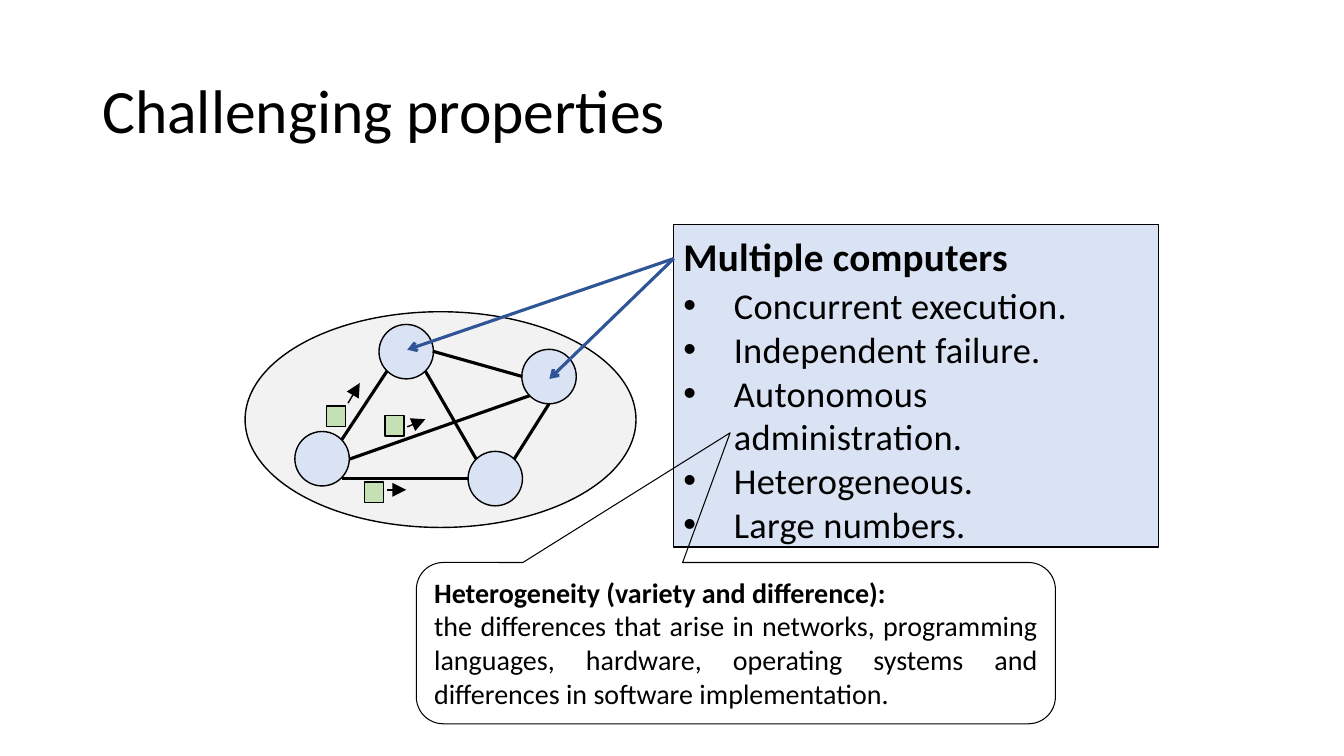
from dataclasses import dataclass
from typing import NamedTuple

from lxml.etree import SubElement
from pptx import Presentation
from pptx.dml.color import RGBColor
from pptx.enum.shapes import MSO_CONNECTOR, MSO_SHAPE
from pptx.enum.text import MSO_ANCHOR, PP_ALIGN
from pptx.oxml.ns import qn
from pptx.util import Pt


@dataclass(frozen=True)
class Theme:
    font: str = "Calibri"
    ink: str = "000000"
    node: str = "DAE3F3"
    network: str = "F2F2F2"
    message: str = "C5E0B4"
    pointer: str = "2F5597"
    title_size: float = 44
    heading_size: float = 28
    bullet_size: float = 26
    note_size: float = 20
    tracking: float = 0.2


class Box(NamedTuple):
    left: float
    top: float
    width: float
    height: float


class Line(NamedTuple):
    x1: float
    y1: float
    x2: float
    y2: float


class LineStyle(NamedTuple):
    color: str
    width: float
    head: str = ""
    head_size: str = "med"


THEME = Theme()
LINK = LineStyle(THEME.ink, 2.25)
MOTION = LineStyle(THEME.ink, 1, "triangle", "lg")
POINTER = LineStyle(THEME.pointer, 2.25, "arrow")

TITLE = Box(66, 28.8, 828, 104.4)
PANEL = Box(481.1, 160.3, 346.6, 230.4)
HEADING = Box(488.2, 160.6, 329, 36)
BULLETS = Box(488.2, 202.3, 314.6, 188.6)
NETWORK = Box(175.1, 222.7, 279.2, 154.1)
CALLOUT = Box(297.4, 401.8, 456.5, 115.2)

COMPUTER_SIZE = 38.9
COMPUTER_CENTERS = [(290.2, 251.2), (230.1, 327.7), (392.2, 269), (353.8, 341.9)]
LINKS = [
    Line(244, 314.3, 276.5, 265),
    Line(244, 341.6, 334.8, 341.6),
    Line(249.5, 328, 378.4, 282.6),
    Line(303.8, 265, 340.2, 328),
    Line(392.2, 288.4, 367.2, 328),
    Line(309.2, 250.9, 373, 268.9),
]
MESSAGES = [
    Box(233, 289.9, 13.7, 14.8),
    Box(274.9, 296.8, 13.7, 14.8),
    Box(260.2, 344.3, 13.7, 14.8),
]
MOTIONS = [
    Line(248.6, 288, 257, 273.6),
    Line(290.9, 304.9, 303.8, 299.5),
    Line(276.5, 349.9, 290.2, 349.9),
]
POINTERS = [Line(481.3, 184.7, 290.9, 249.8), Line(481.3, 184.7, 392.4, 270.7)]

PROPERTIES = [
    "Concurrent execution.",
    "Independent failure.",
    "Autonomous administration.",
    "Heterogeneous.",
    "Large numbers.",
]
NOTE_HEADING = "Heterogeneity (variety and difference):"
NOTE = (
    "the differences that arise in networks, programming languages, hardware, "
    "operating systems and differences in software implementation."
)


def add_figure(slide, kind: MSO_SHAPE, box: Box, fill: str = "", width: float = 1):
    sp = slide.shapes.add_shape(kind, *map(Pt, box))
    sp.shadow.inherit = False
    if fill:
        sp.fill.solid()
        sp.fill.fore_color.rgb = RGBColor.from_string(fill)
    else:
        sp.fill.background()
    sp.line.color.rgb = RGBColor.from_string(THEME.ink)
    sp.line.width = Pt(width)
    return sp


def add_line(slide, line: Line, style: LineStyle) -> None:
    cxn = slide.shapes.add_connector(MSO_CONNECTOR.STRAIGHT, *map(Pt, line))
    cxn.line.color.rgb = RGBColor.from_string(style.color)
    cxn.line.width = Pt(style.width)
    if style.head:
        size = style.head_size
        ln = cxn.line._get_or_add_ln()
        SubElement(ln, qn("a:tailEnd"), type=style.head, w=size, len=size)
    SubElement(cxn._element.spPr, qn("a:effectLst"))


def add_text_box(slide, box: Box, text: str, inset: bool = False):
    tf = slide.shapes.add_textbox(*map(Pt, box)).text_frame
    tf.word_wrap = True
    if not inset:
        tf.margin_left = tf.margin_top = tf.margin_right = tf.margin_bottom = 0
    tf.text = text
    return tf


def format_runs(p, size: float, bold: bool = False, tracking: float = 0) -> None:
    for r in p.runs:
        r.font.name = THEME.font
        r.font.size = Pt(size)
        r.font.bold = bold
        r.font.color.rgb = RGBColor.from_string(THEME.ink)
        if tracking:
            r._r.get_or_add_rPr().set("spc", str(round(tracking * 100)))


def add_bullet(p, indent: float) -> None:
    pPr = p._p.get_or_add_pPr()
    pPr.set("marL", str(Pt(indent)))
    pPr.set("indent", str(-Pt(indent)))
    SubElement(pPr, qn("a:buFont"), typeface="Arial")
    SubElement(pPr, qn("a:buChar"), char="•")


def draw_title(slide) -> None:
    tf = add_text_box(slide, TITLE, "Challenging properties", inset=True)
    tf.vertical_anchor = MSO_ANCHOR.MIDDLE
    p = tf.paragraphs[0]
    p.line_spacing = 0.9
    format_runs(p, THEME.title_size)


def draw_network(slide) -> None:
    add_figure(slide, MSO_SHAPE.OVAL, NETWORK, THEME.network)
    for x, y in COMPUTER_CENTERS:
        half = COMPUTER_SIZE / 2
        box = Box(x - half, y - half, COMPUTER_SIZE, COMPUTER_SIZE)
        add_figure(slide, MSO_SHAPE.OVAL, box, THEME.node)
    for link in LINKS:
        add_line(slide, link, LINK)
    for message in MESSAGES:
        add_figure(slide, MSO_SHAPE.RECTANGLE, message, THEME.message)
    for motion in MOTIONS:
        add_line(slide, motion, MOTION)
    for pointer in POINTERS:
        add_line(slide, pointer, POINTER)


def draw_properties(slide) -> None:
    p = add_text_box(slide, HEADING, "Multiple computers").paragraphs[0]
    p.line_spacing = Pt(39.2)
    format_runs(p, THEME.heading_size, bold=True, tracking=THEME.tracking)
    tf = add_text_box(slide, BULLETS, "\n".join(PROPERTIES))
    for p in tf.paragraphs:
        add_bullet(p, 36)
        p.alignment = PP_ALIGN.JUSTIFY
        p.line_spacing = Pt(31.2)
        format_runs(p, THEME.bullet_size, tracking=THEME.tracking)


def draw_callout(slide) -> None:
    sp = add_figure(slide, MSO_SHAPE.ROUNDED_RECTANGULAR_CALLOUT, CALLOUT, width=0.75)
    for i, value in enumerate((-0.009, -1.304, 0.167)):
        sp.adjustments[i] = value
    tf = sp.text_frame
    tf.word_wrap = True
    tf.vertical_anchor = MSO_ANCHOR.TOP
    tf.text = f"{NOTE_HEADING}\n{NOTE}"
    for i, p in enumerate(tf.paragraphs):
        p.alignment = PP_ALIGN.JUSTIFY
        format_runs(p, THEME.note_size, bold=i == 0)


def main() -> None:
    prs = Presentation()
    prs.slide_width, prs.slide_height = Pt(960), Pt(540)
    slide = prs.slides.add_slide(prs.slide_layouts[6])
    add_figure(slide, MSO_SHAPE.RECTANGLE, PANEL, THEME.node)
    draw_network(slide)
    draw_properties(slide)
    draw_title(slide)
    draw_callout(slide)
    prs.save("out.pptx")


if __name__ == "__main__":
    main()
